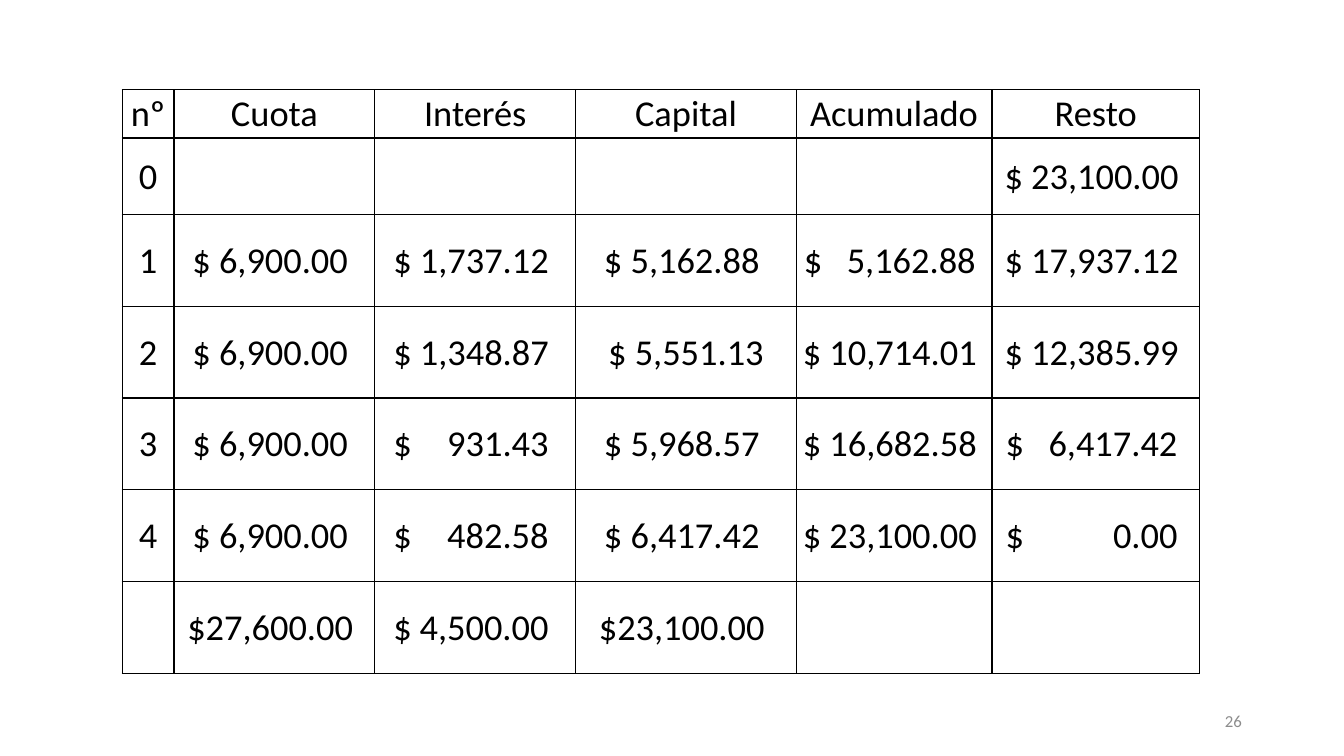
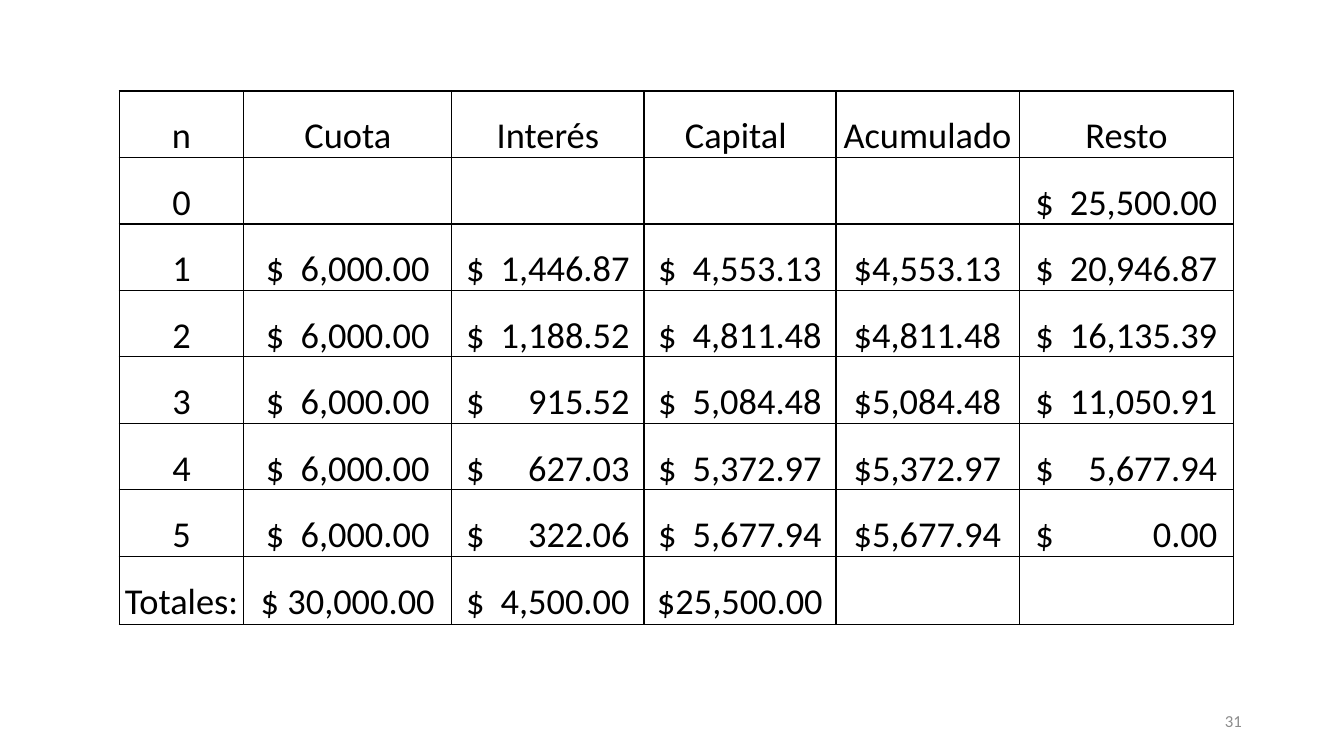
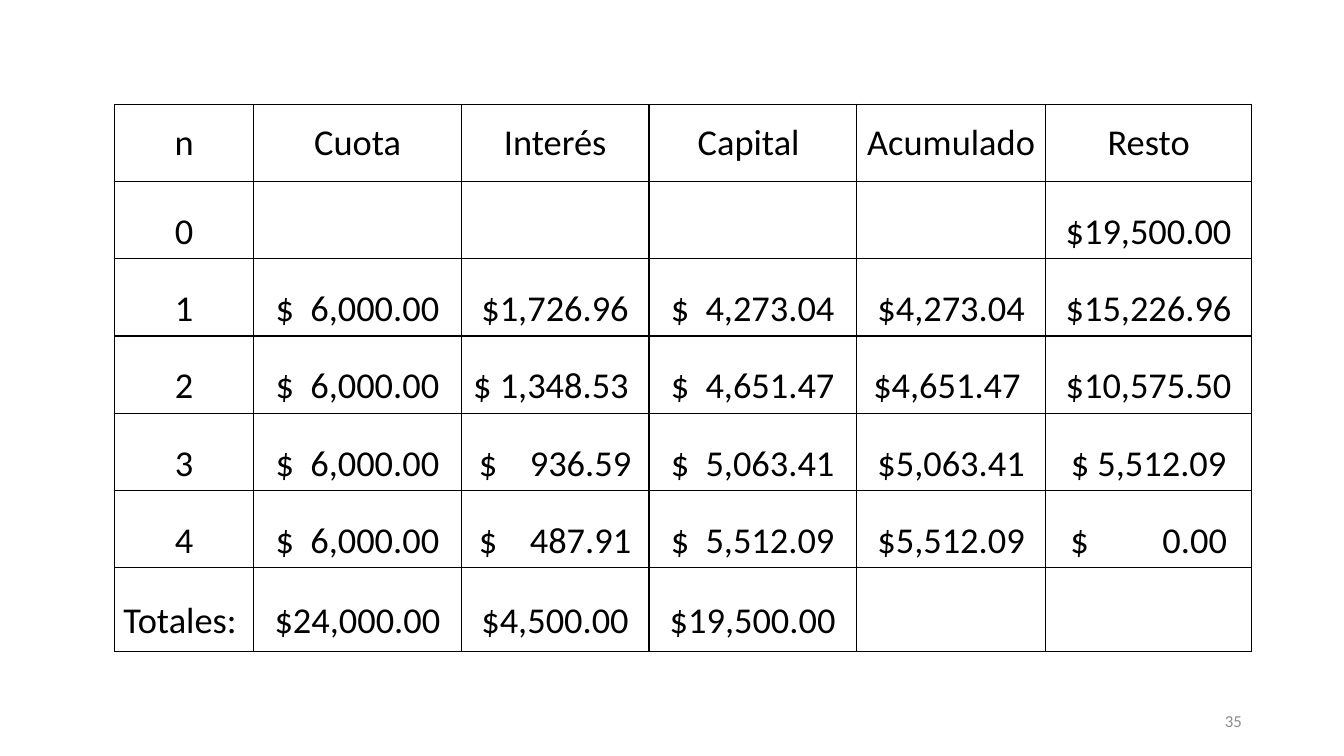
import pptx
import pptx.dml.color
import pptx.enum.text
import pptx.oxml.ns
import pptx.util
from lxml import etree

Pt = pptx.util.Pt
COLORS = {"text": "000000", "border": "000000", "cell": "FFFFFF", "number": "8C8C8C"}
FONT = "Calibri"
TABLE_SIZE, NUMBER_SIZE = 26, 12
BORDER_WIDTH = 1
CELL_MARGIN = 0.7
NUMBER_BOX = (678.24, 500.4, 216, 28.8)

# Content: a tab parts the currency sign from an amount aligned to the right.
# "amounts" holds the width of such a block in each column, "shift" moves it off centre.
SCHEDULES = [
    {
        "number": "26", "left": 87.3, "top": 64,
        "columns": [37, 143.5, 143.5, 157.5, 139.75, 148.5],
        "rows": [34.56, 54.72] + [65.52] * 5,
        "amounts": [0, 0, 111, 0, 123, 123], "shift": -3,
        "header_spacing": 1, "body_spacing": 1,
        "cells": [
            ("nº", "Cuota", "Interés", "Capital", "Acumulado", "Resto"),
            ("0", "", "", "", "", "$ 23,100.00 "),
            ("1", "$ 6,900.00 ", "$ 1,737.12 ", "$ 5,162.88 ", "$\t5,162.88", "$ 17,937.12 "),
            ("2", "$ 6,900.00 ", "$ 1,348.87 ", " $ 5,551.13 ", "$ 10,714.01 ", "$ 12,385.99 "),
            ("3", "$ 6,900.00 ", "$\t931.43", "$ 5,968.57 ", "$ 16,682.58 ", "$\t6,417.42"),
            ("4", "$ 6,900.00 ", "$\t482.58", "$ 6,417.42 ", "$ 23,100.00 ", "$\t0.00"),
            ("", "$27,600.00 ", "$\t4,500.00", "$23,100.00 ", "", ""),
        ],
    },
    {
        "number": "31", "left": 85.2, "top": 65,
        "columns": [89, 148.6, 137.2, 137.2, 130.8, 153.4],
        "rows": [47.4] * 7 + [48.9],
        "amounts": [0, 117, 117, 117, 0, 130], "shift": 0,
        "header_spacing": 1.5, "body_spacing": 1.5,
        "cells": [
            ("n", "Cuota", "Interés", "Capital ", "Acumulado", "Resto"),
            ("0", "", "", "", "", "$\t25,500.00"),
            ("1", "$\t6,000.00", "$\t1,446.87", "$\t4,553.13", " $4,553.13 ", "$\t20,946.87"),
            ("2", "$\t6,000.00", "$\t1,188.52", "$\t4,811.48", " $4,811.48 ", "$\t16,135.39"),
            ("3", "$\t6,000.00", "$\t915.52", "$\t5,084.48", " $5,084.48 ", "$\t11,050.91"),
            ("4", "$\t6,000.00", "$\t627.03", "$\t5,372.97", " $5,372.97 ", "$\t5,677.94"),
            ("5", "$\t6,000.00", "$\t322.06", "$\t5,677.94", " $5,677.94 ", "$\t0.00"),
            ("Totales:", " $ 30,000.00 ", "$\t4,500.00", " $25,500.00 ", "", ""),
        ],
    },
    {
        "number": "35", "left": 81.8, "top": 74.5,
        "columns": [99.5, 148.3, 134, 148.3, 135.2, 147],
        "rows": [55.2] * 6 + [59.7],
        "amounts": [0, 117, 109, 117, 0, 112], "shift": 0,
        "header_spacing": 1, "body_spacing": 1.5,
        "cells": [
            ("n", "Cuota", "Interés", "Capital ", "Acumulado", "Resto"),
            ("0", "", "", "", "", " $19,500.00 "),
            ("1", "$\t6,000.00", " $1,726.96 ", "$\t4,273.04", " $4,273.04 ", " $15,226.96 "),
            ("2", "$\t6,000.00", "$ 1,348.53 ", "$\t4,651.47", "$4,651.47 ", " $10,575.50 "),
            ("3", "$\t6,000.00", "$\t936.59", "$\t5,063.41", " $5,063.41 ", " $ 5,512.09 "),
            ("4", "$\t6,000.00", "$\t487.91", "$\t5,512.09", " $5,512.09 ", "$\t0.00"),
            ("Totales: ", " $24,000.00 ", " $4,500.00 ", " $19,500.00 ", "", ""),
        ],
    },
]


def rgb(name):
    return pptx.dml.color.RGBColor.from_string(COLORS[name])


def add_child(parent, tag, **attributes):
    return etree.SubElement(parent, pptx.oxml.ns.qn(tag), attributes)


def format_runs(paragraph, size, color):
    for run in paragraph.runs:
        run.font.name = FONT
        run.font.size = Pt(size)
        run.font.color.rgb = rgb(color)


def draw_borders(cell):
    properties = cell._tc.get_or_add_tcPr()
    for side in ("a:lnL", "a:lnR", "a:lnT", "a:lnB"):
        line = add_child(properties, side, w=str(Pt(BORDER_WIDTH)))
        add_child(add_child(line, "a:solidFill"), "a:srgbClr", val=COLORS["border"])


def fill_cell(cell, text, spacing, column_width, amount_width, shift):
    draw_borders(cell)
    cell.fill.solid()
    cell.fill.fore_color.rgb = rgb("cell")
    cell.vertical_anchor = pptx.enum.text.MSO_ANCHOR.MIDDLE
    cell.margin_left = cell.margin_right = cell.margin_top = Pt(CELL_MARGIN)
    cell.margin_bottom = 0
    if not text:
        return
    cell.text_frame.text = text
    paragraph = cell.text_frame.paragraphs[0]
    paragraph.line_spacing = spacing
    paragraph.alignment = pptx.enum.text.PP_ALIGN.CENTER
    if "\t" in text:
        paragraph.alignment = pptx.enum.text.PP_ALIGN.LEFT
        cell.margin_left = Pt((column_width - amount_width) / 2 + shift)
        tabs = add_child(paragraph._p.get_or_add_pPr(), "a:tabLst")
        add_child(tabs, "a:tab", pos=str(Pt(amount_width)), algn="r")
    format_runs(paragraph, TABLE_SIZE, "text")


def add_schedule(slide, schedule):
    columns, rows = schedule["columns"], schedule["rows"]
    table = slide.shapes.add_table(
        len(rows), len(columns), Pt(schedule["left"]), Pt(schedule["top"]),
        Pt(sum(columns)), Pt(sum(rows))).table
    table.first_row = table.horz_banding = False
    for column, width in zip(table.columns, columns):
        column.width = Pt(width)
    for row_index, (height, texts) in enumerate(zip(rows, schedule["cells"])):
        table.rows[row_index].height = Pt(height)
        spacing = schedule["body_spacing" if row_index else "header_spacing"]
        for column_index, text in enumerate(texts):
            fill_cell(table.cell(row_index, column_index), text, spacing,
                      columns[column_index], schedule["amounts"][column_index],
                      schedule["shift"])


def add_slide_number(slide, number):
    text_frame = slide.shapes.add_textbox(*map(Pt, NUMBER_BOX)).text_frame
    text_frame.word_wrap = True
    text_frame.vertical_anchor = pptx.enum.text.MSO_ANCHOR.MIDDLE
    text_frame.text = number
    paragraph = text_frame.paragraphs[0]
    paragraph.alignment = pptx.enum.text.PP_ALIGN.RIGHT
    format_runs(paragraph, NUMBER_SIZE, "number")


def main():
    presentation = pptx.Presentation()
    presentation.slide_width, presentation.slide_height = Pt(960), Pt(540)
    for schedule in SCHEDULES:
        slide = presentation.slides.add_slide(presentation.slide_layouts[6])
        add_schedule(slide, schedule)
        add_slide_number(slide, schedule["number"])
    presentation.save("out.pptx")


if __name__ == "__main__":
    main()
